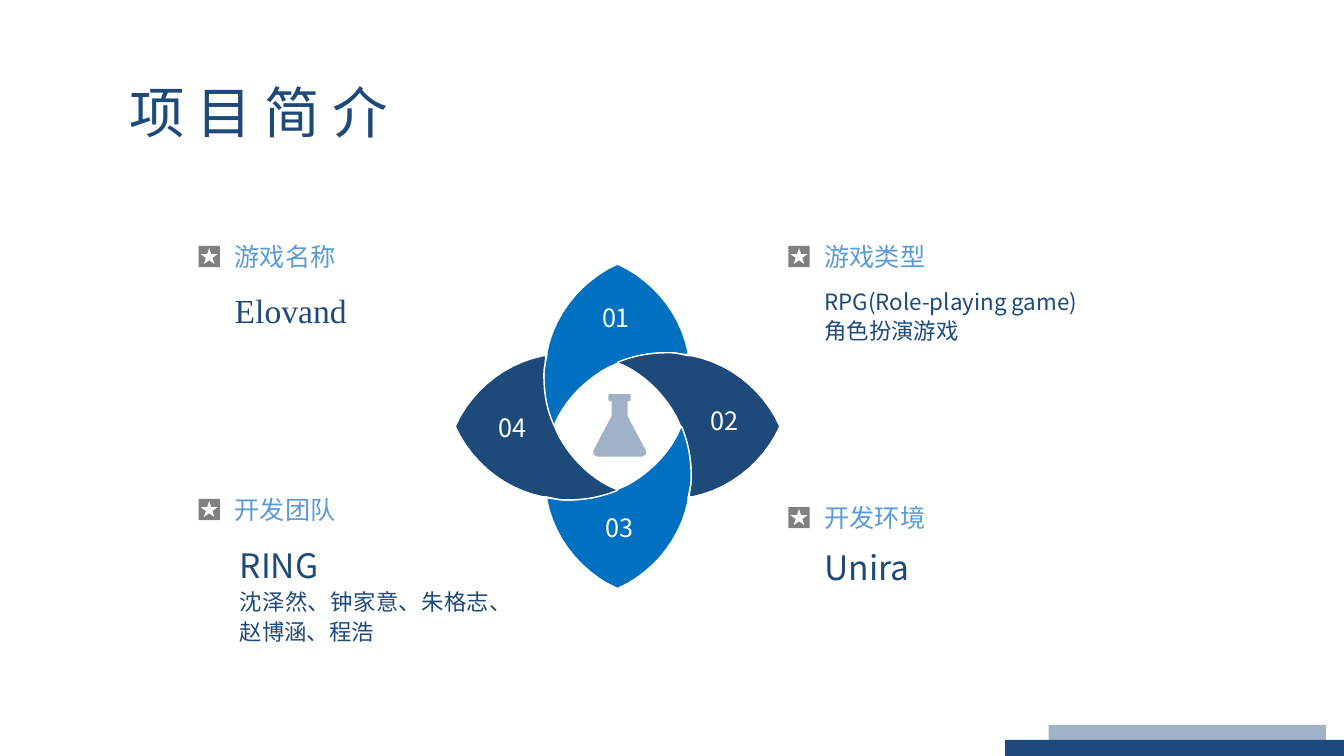
from lxml import etree
from pptx import Presentation
from pptx import util as u
from pptx.dml.color import RGBColor
from pptx.enum import shapes, text
from pptx.oxml.ns import qn

NAVY = RGBColor(0x1E, 0x4A, 0x7A)
BLUE = RGBColor(0x00, 0x70, 0xC0)
SKY = RGBColor(0x5B, 0x9B, 0xD5)
MIST = RGBColor(0xA0, 0xB2, 0xC5)
GREY = RGBColor(0x80, 0x80, 0x80)
WHITE = RGBColor(0xFF, 0xFF, 0xFF)
SANS, SERIF = "Noto Sans CJK SC", "Times New Roman"

prs = Presentation()
prs.slide_width, prs.slide_height = u.Inches(13.33), u.Inches(7.5)
s = prs.slides.add_slide(prs.slide_layouts[5])


def write(tf, lines, color, align, spacing=None, font=SANS):
    """Fill a text frame with one paragraph per (words, size) pair."""
    tf.word_wrap = True
    for i, (words, size) in enumerate(lines):
        p = tf.paragraphs[0] if i == 0 else tf.add_paragraph()
        p.alignment, p.line_spacing = align, spacing
        r = p.add_run()
        r.text = words
        for key, value in {"size": u.Pt(size), "name": font}.items():
            setattr(r.font, key, value)
        r.font.color.rgb = color
        etree.SubElement(r.font._element, qn("a:ea"), typeface=font)


def outline(center, segments, turns, fill):
    """Draw straight (2 numbers) and Bezier (6 numbers) segments, turned by quarters."""
    points = []
    for seg in segments:
        if len(seg) == 2:
            points.append(seg)
            continue
        knots = [points[-1], seg[:2], seg[2:4], seg[4:]]
        for t in (k / 10 for k in range(1, 11)):
            weights = ((1 - t) ** 3, 3 * t * (1 - t) ** 2, 3 * t * t * (1 - t), t ** 3)
            points.append(tuple(sum(w * k[axis] for w, k in zip(weights, knots))
                                for axis in (0, 1)))
    for _ in range(turns):
        points = [(-y, x) for x, y in points]
    points = [(u.Inches(center[0] + x), u.Inches(center[1] + y)) for x, y in points]
    fb = s.shapes.build_freeform(*points[0])
    fb.add_line_segments(points[1:], close=True)
    sp = fb.convert_to_shape()
    sp.shadow.inherit = False
    sp.fill.solid()
    sp.fill.fore_color.rgb = fill
    sp.line.fill.background()
    return sp


# Title
title = s.shapes.title
for key, value in {"left": 1.18, "top": 0.77, "width": 5.75, "height": 0.75}.items():
    setattr(title, key, u.Inches(value))
title.text_frame.auto_size = text.MSO_AUTO_SIZE.NONE
title.text_frame.vertical_anchor = text.MSO_ANCHOR.MIDDLE
write(title.text_frame, [("项 目 简 介", 39.6)], NAVY, text.PP_ALIGN.LEFT, 0.9)

# Four petals: one outline turned clockwise by quarters around the centre
CENTER = (6.125, 4.23)
PETAL = [
    (0, -1.61), (0.1, -1.56), (0.4, -1.39, 0.63, -1.09, 0.7, -0.74), (0.7, -0.71),
    (0.61, -0.72), (0.57, -0.73, 0.53, -0.73, 0.49, -0.73),
    (0.32, -0.73, 0.16, -0.7, 0.01, -0.63), (-0.1, -0.58),
    (-0.3, -0.47, -0.48, -0.3, -0.59, -0.09), (-0.63, 0), (-0.64, -0.01),
    (-0.7, -0.16, -0.73, -0.32, -0.73, -0.49),
    (-0.73, -0.53, -0.73, -0.57, -0.72, -0.61), (-0.7, -0.71), (-0.7, -0.74),
    (-0.63, -1.09, -0.4, -1.39, -0.1, -1.56),
]
INSETS = [(0, 0, 0, 0.55), (0.51, 0, 0, 0.08), (0, 0.39, 0, 0), (0, 0, 0.47, 0)]
for turn, insets in enumerate(INSETS):
    sp = outline(CENTER, PETAL, turn, (BLUE, NAVY)[turn % 2])
    sp.line.color.rgb, sp.line.width = WHITE, u.Pt(1)
    tf = sp.text_frame
    tf.vertical_anchor = text.MSO_ANCHOR.MIDDLE
    for side, inset in zip(("left", "top", "right", "bottom"), insets):
        setattr(tf, f"margin_{side}", u.Inches(inset))
    write(tf, [(f"{turn + 1:02d}", 18)], WHITE, text.PP_ALIGN.CENTER)

# Flask: the right half is mirrored to the left
FLASK = [(0.1, -0.31), (0.11, -0.3), (0.11, -0.25), (0.1, -0.24), (0.08, -0.24),
         (0.08, -0.09), (0.26, 0.25), (0.26, 0.29), (0.22, 0.31)]
outline((6.145, 4.22), FLASK + [(-x, y) for x, y in reversed(FLASK)], 0, MIST)

# Four items: column, top, heading, body offset (x, y), body height, lines, font
LEFT, RIGHT = 1.97, 7.82
ITEMS = [
    (LEFT, 2.34, "游戏名称", 0.26, 0.45, 0.51, [("Elovand", 24)], SERIF),
    (LEFT, 4.85, "开发团队", 0.31, 0.47, 1.12,
     [("RING", 24), ("沈泽然、钟家意、朱格志、赵博涵、程浩", 16)], SANS),
    (RIGHT, 2.34, "游戏类型", 0.26, 0.44, 0.67,
     [("RPG(Role-playing game)", 16), ("角色扮演游戏", 16)], SANS),
    (RIGHT, 4.93, "开发环境", 0.26, 0.41, 0.51, [("Unira", 24)], SANS),
]
RECT, STAR = shapes.MSO_SHAPE.RECTANGLE, shapes.MSO_SHAPE.STAR_5_POINT
blocks = []
for x, y, heading, dx, dy, height, lines, font in ITEMS:
    tb = s.shapes.add_textbox(*map(u.Inches, (x + 0.26, y, 1.76, 0.4)))
    write(tb.text_frame, [(heading, 18)], SKY, text.PP_ALIGN.LEFT)
    tb = s.shapes.add_textbox(*map(u.Inches, (x + dx, y + dy, 2.9, height)))
    write(tb.text_frame, lines, NAVY, text.PP_ALIGN.JUSTIFY, 1.1, font)
    blocks += [(RECT, x, y + 0.1, 0.21, 0.21, GREY),
               (STAR, x + 0.02, y + 0.12, 0.17, 0.16, WHITE)]

# Item markers and the two footer bars
blocks += [(RECT, 10.4, 7.19, 2.75, 0.31, MIST), (RECT, 9.97, 7.34, 3.36, 0.16, NAVY)]
for kind, *box, color in blocks:
    sp = s.shapes.add_shape(kind, *map(u.Inches, box))
    sp.shadow.inherit = False
    sp.fill.solid()
    sp.fill.fore_color.rgb = color
    sp.line.fill.background()

prs.save("out.pptx")
